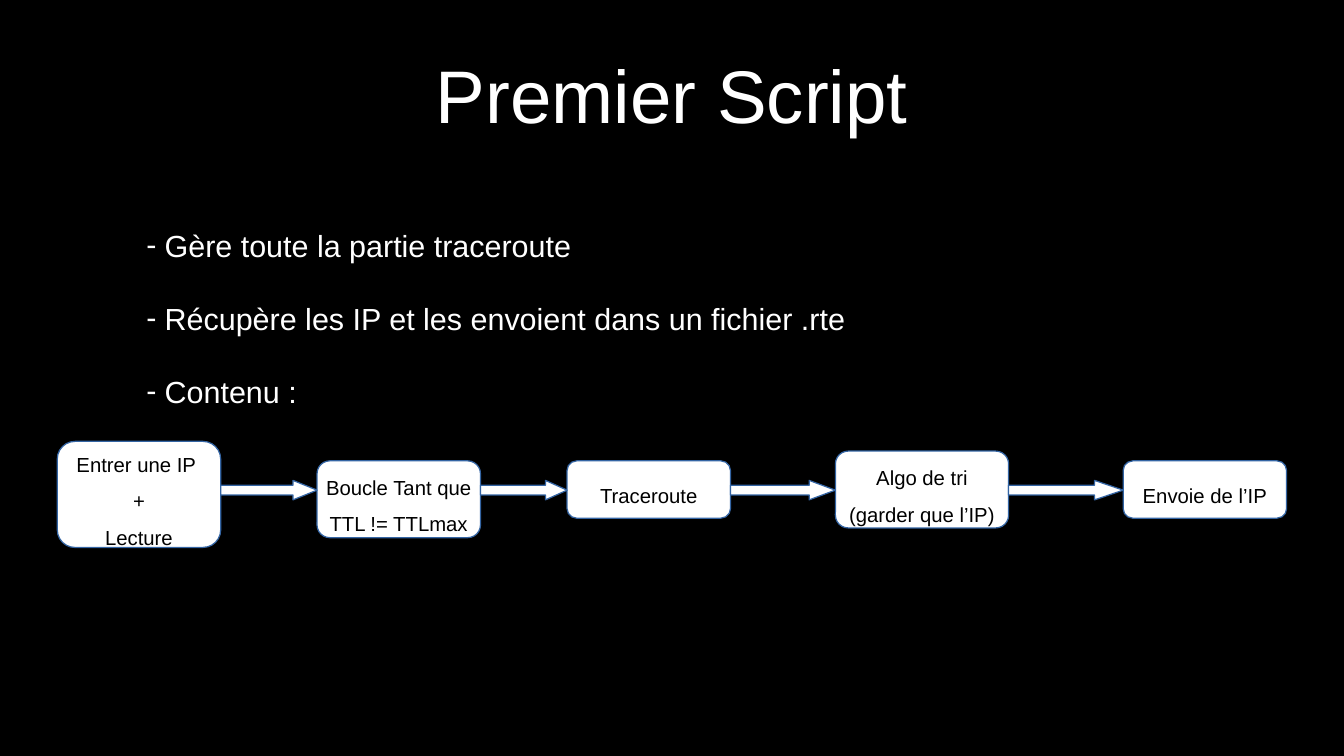
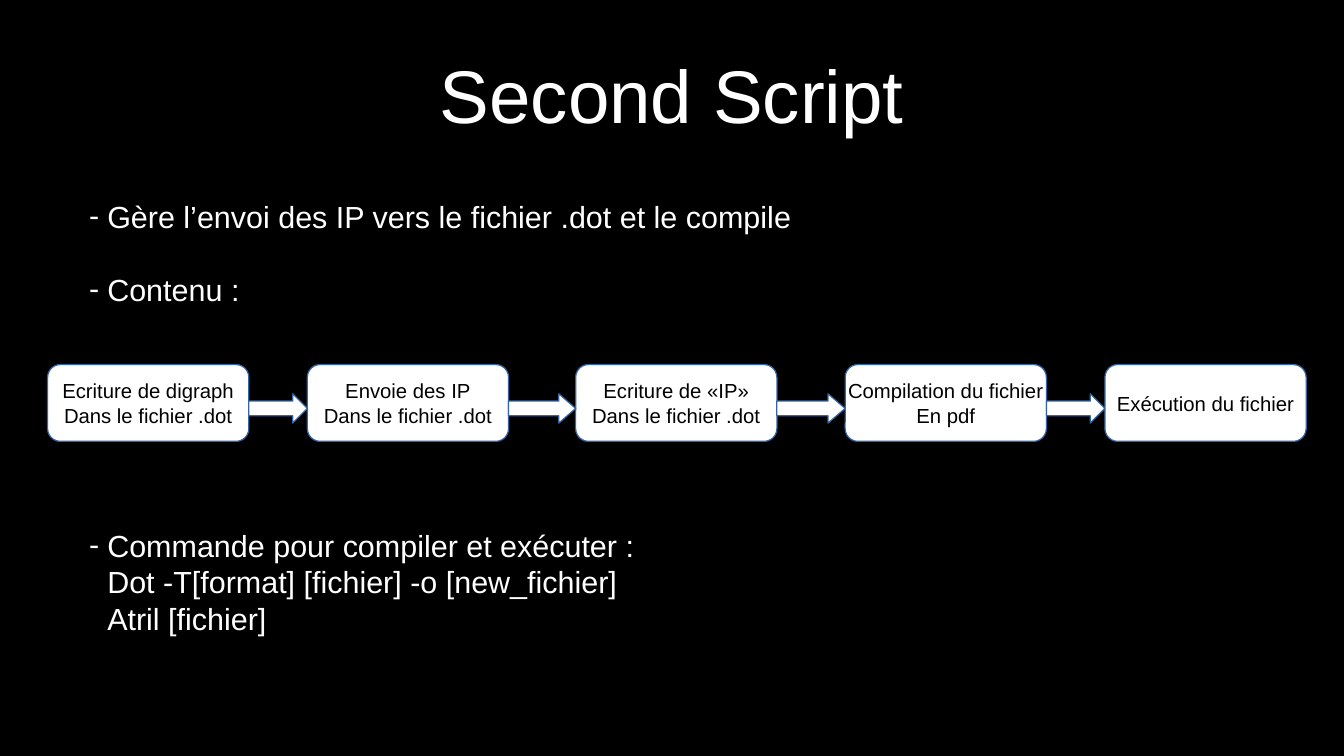
from itertools import pairwise

from lxml.etree import SubElement
from pptx import Presentation
from pptx.dml.color import RGBColor
from pptx.enum.shapes import MSO_SHAPE
from pptx.enum.text import MSO_ANCHOR, MSO_AUTO_SIZE, PP_ALIGN
from pptx.oxml.ns import qn
from pptx.util import Inches, Pt

# Content: items are (text, has a dash, empty lines before)
# Steps are (lines, left, top, width, height)
SCRIPTS = [
    {
        "title": "Premier Script",
        "body": (1.1, 1.81, 8.9, 1.5),
        "items": [
            ("Gère toute la partie traceroute", True, 0),
            ("Récupère les IP et les envoient dans un fichier .rte", True, 1),
            ("Contenu :", True, 1),
        ],
        "steps": [
            (["Entrer une IP ", "+", "Lecture"], 0.47, 3.62, 1.34, 0.87),
            (["Boucle Tant que", "TTL != TTLmax"], 2.6, 3.78, 1.34, 0.63),
            (["Traceroute"], 4.65, 3.78, 1.34, 0.47),
            (["Algo de tri", "(garder que l’IP)"], 6.85, 3.7, 1.42, 0.63),
            (["Envoie de l’IP"], 9.21, 3.78, 1.34, 0.47),
        ],
        "step_spacing": 1.5,
        "arrow_top": 3.94,
        "arrow_height": 0.16,
    },
    {
        "title": "Second Script",
        "body": (0.63, 1.57, 9.84, 3.76),
        "items": [
            ("Gère l’envoi des IP vers le fichier .dot et le compile", True, 0),
            ("Contenu :", True, 1),
            ("Commande pour compiler et exécuter :", True, 6),
            ("Dot -T[format] [fichier] -o [new_fichier]", False, 0),
            ("Atril [fichier]", False, 0),
        ],
        "steps": [
            (lines, left, 2.99, 1.65, 0.63)
            for lines, left in [
                (["Ecriture de digraph", "Dans le fichier .dot"], 0.39),
                (["Envoie des IP", "Dans le fichier .dot"], 2.52),
                (["Ecriture de «IP»", "Dans le fichier .dot"], 4.72),
                (["Compilation du fichier", "En pdf"], 6.93),
                (["Exécution du fichier"], 9.06),
            ]
        ],
        "step_spacing": 1.0,
        "arrow_top": 3.23,
        "arrow_height": 0.24,
    },
]

# Shared style
COLORS = {"back": "000000", "light": "FFFFFF", "dark": "000000", "edge": "3465A4"}
TITLE_AREA = (0.55, 0.25, 9.92, 1.04)
TITLE_FONT = {"name": "Arial", "size": Pt(44)}
ITEM_FONT = {"name": "Arial", "size": Pt(18)}
STEP_FONT = {"name": "Arial", "size": Pt(12)}
TITLE_FRAME = {
    "margin_left": 0, "margin_right": 0, "margin_top": 0, "margin_bottom": 0,
    "vertical_anchor": MSO_ANCHOR.MIDDLE, "auto_size": MSO_AUTO_SIZE.NONE,
}
BODY_FRAME = {"vertical_anchor": MSO_ANCHOR.TOP, "auto_size": MSO_AUTO_SIZE.NONE}
STEP_FRAME = {"vertical_anchor": MSO_ANCHOR.MIDDLE, "word_wrap": False}
ITEM_LINE = 21.6
DASH_INDENT = Inches(0.15)


def rgb(role):
    return RGBColor.from_string(COLORS[role])


def apply(target, values):
    for name, value in values.items():
        setattr(target, name, value)


def place(shape, area):
    sides = ("left", "top", "width", "height")
    apply(shape, dict(zip(sides, map(Inches, area))))


def style_font(paragraph, values, role):
    apply(paragraph.font, values)
    paragraph.font.color.rgb = rgb(role)


def paragraphs(frame, count):
    return [frame.paragraphs[0]] + [frame.add_paragraph() for _ in range(count - 1)]


def set_dash(paragraph, has_dash):
    properties = paragraph._p.get_or_add_pPr()
    properties.set("marL", str(DASH_INDENT))
    properties.set("indent", str(-DASH_INDENT if has_dash else 0))
    if has_dash:
        SubElement(properties, qn("a:buFont"), typeface="Arial")
        SubElement(properties, qn("a:buChar"), char="-")
    else:
        SubElement(properties, qn("a:buNone"))


def fill_title(title, text):
    title.text = text
    apply(title.text_frame, TITLE_FRAME)
    heading = title.text_frame.paragraphs[0]
    heading.alignment = PP_ALIGN.CENTER
    style_font(heading, TITLE_FONT, "light")


def fill_body(body, area, items):
    place(body, area)
    frame = body.text_frame
    apply(frame, BODY_FRAME)
    for paragraph, (text, has_dash, gap) in zip(paragraphs(frame, len(items)), items):
        paragraph.text = text
        paragraph.line_spacing = Pt(ITEM_LINE)
        paragraph.space_before = Pt(gap * ITEM_LINE)
        set_dash(paragraph, has_dash)
        style_font(paragraph, ITEM_FONT, "light")


def add_block(slide, kind, area):
    block = slide.shapes.add_shape(kind, *map(Inches, area))
    block.shadow.inherit = False
    block.fill.solid()
    block.fill.fore_color.rgb = rgb("light")
    block.line.color.rgb = rgb("edge")
    block.line.width = 0
    return block


def add_step(slide, lines, area, spacing):
    frame = add_block(slide, MSO_SHAPE.ROUNDED_RECTANGLE, area).text_frame
    apply(frame, STEP_FRAME)
    for paragraph, line in zip(paragraphs(frame, len(lines)), lines):
        paragraph.text = line
        paragraph.alignment = PP_ALIGN.CENTER
        paragraph.line_spacing = spacing
        style_font(paragraph, STEP_FONT, "dark")


def add_flow(slide, script):
    steps, height = script["steps"], script["arrow_height"]
    for lines, *area in steps:
        add_step(slide, lines, area, script["step_spacing"])
    # Each arrow fills the gap between two steps; its head is a quarter of it
    for (_, left, _, width, _), (_, next_left, *_) in pairwise(steps):
        start = left + width
        gap = next_left - start
        area = (start, script["arrow_top"], gap, height)
        arrow = add_block(slide, MSO_SHAPE.RIGHT_ARROW, area)
        arrow.adjustments[1] = gap / height / 4


def main():
    deck = Presentation()
    deck.slide_width, deck.slide_height = Inches(11.02), Inches(6.2)
    background = deck.slide_master.background.fill
    background.solid()
    background.fore_color.rgb = rgb("back")
    layout = deck.slide_layouts[1]
    place(layout.placeholders[0], TITLE_AREA)

    for script in SCRIPTS:
        slide = deck.slides.add_slide(layout)
        fill_title(slide.shapes.title, script["title"])
        fill_body(slide.placeholders[1], script["body"], script["items"])
        add_flow(slide, script)
    deck.save("out.pptx")


if __name__ == "__main__":
    main()
